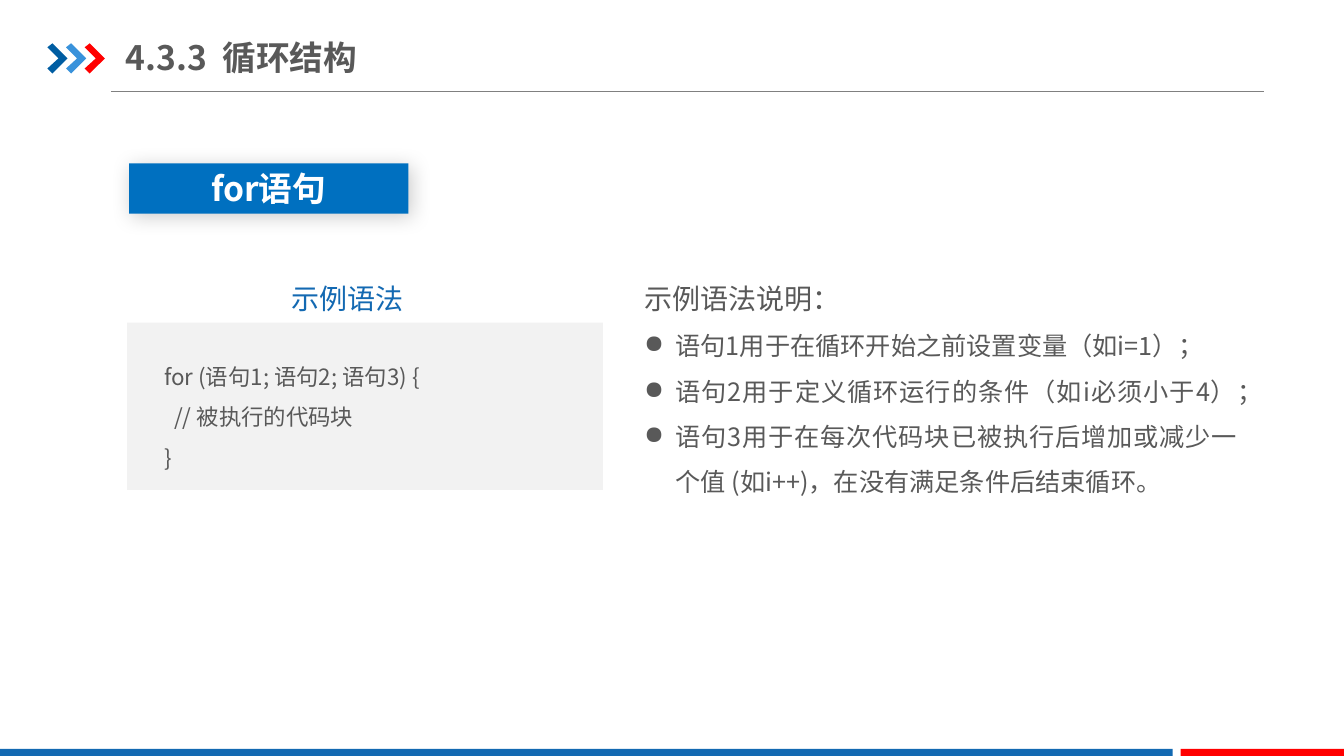
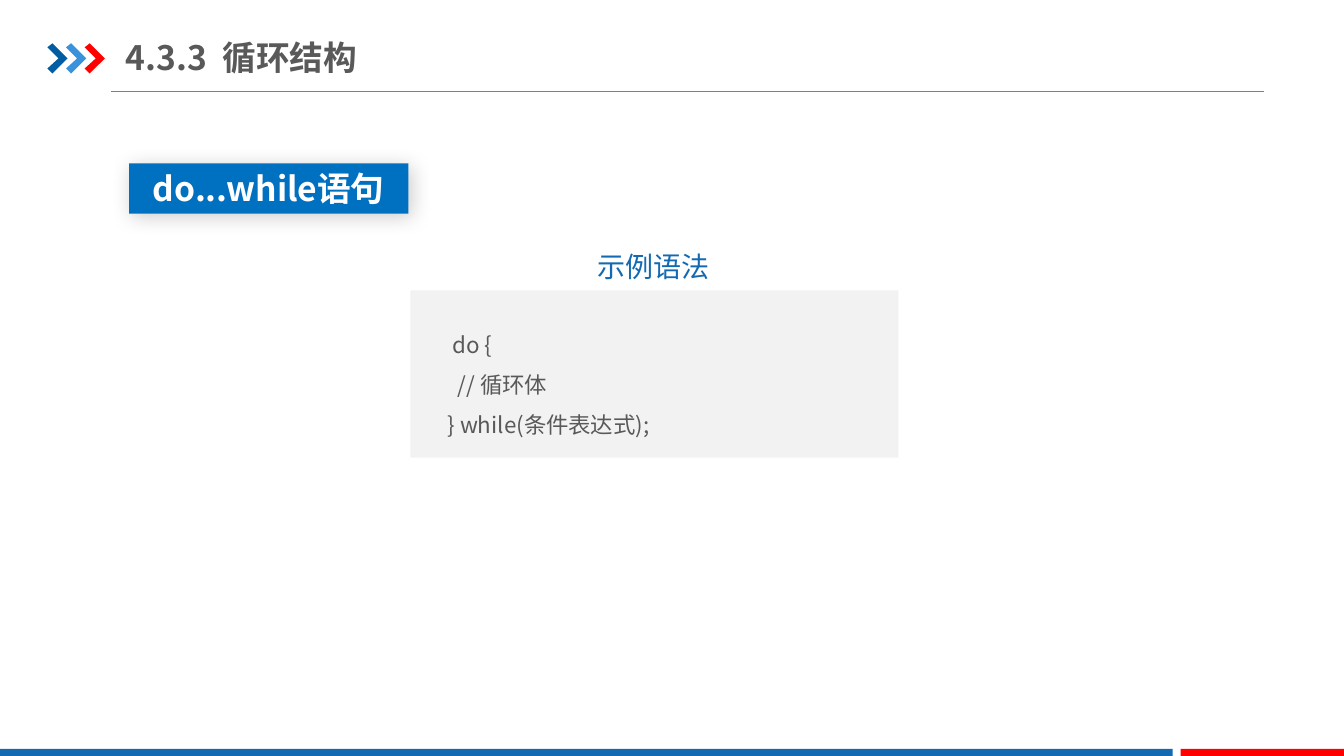
from dataclasses import dataclass

from lxml import etree
from pptx import Presentation
from pptx import util as u
from pptx.dml.color import RGBColor
from pptx.enum import shapes, text
from pptx.oxml import ns


@dataclass(frozen=True)
class Theme:
    """Colours, font and type sizes of the deck."""
    font: str = "Noto Sans CJK SC"
    ink: str = "595959"
    white: str = "FFFFFF"
    blue: str = "1369B2"
    badge: str = "0070C0"
    red: str = "FF0000"
    panel: str = "F2F2F2"
    rule: str = "808080"
    chevrons: tuple = ("005DA2", "3992DB", "FF0000")
    heading: int = 24
    label: int = 20
    body: int = 18
    code: int = 16
    spacing: float = 1.5


THEME = Theme()
ALIGN = text.PP_ALIGN
ANCHOR = text.MSO_ANCHOR
PLAIN_INSETS = (0.1, 0.05)
WIDE_INSETS = (0.13, 0.07)


def add_xml(parent, tag, **attributes):
    """Append a DrawingML child element and return it."""
    return etree.SubElement(parent, ns.qn(tag), attributes)


def paint(shape, colour):
    """Give a shape a flat fill without outline or shadow."""
    shape.shadow.inherit = False
    shape.fill.solid()
    shape.fill.fore_color.rgb = RGBColor.from_string(colour)
    shape.line.fill.background()


def add_block(slide, left, top, width, height, colour):
    """Draw a flat rectangle."""
    block = slide.shapes.add_shape(
        shapes.MSO_SHAPE.RECTANGLE, *map(u.Inches, (left, top, width, height)))
    paint(block, colour)
    return block


def set_frame(frame, insets=PLAIN_INSETS, anchor=ANCHOR.TOP):
    """Set wrapping, insets and anchor of a text frame."""
    frame.word_wrap = True
    frame.vertical_anchor = anchor
    frame.margin_left = frame.margin_right = u.Inches(insets[0])
    frame.margin_top = frame.margin_bottom = u.Inches(insets[1])
    return frame


def add_text(slide, left, top, width, height, **frame_style):
    """Add a text box and return its frame."""
    box = slide.shapes.add_textbox(*map(u.Inches, (left, top, width, height)))
    return set_frame(box.text_frame, **frame_style)


def write(frame, wording, size, colour=THEME.ink, bold=False,
          align=ALIGN.LEFT, spacing=THEME.spacing, indent=0, bullet=None):
    """Write one paragraph, using the empty first one if it is free."""
    first = frame.paragraphs[0]
    paragraph = frame.add_paragraph() if first.runs else first
    paragraph.alignment = align
    paragraph.line_spacing = spacing
    properties = paragraph._p.get_or_add_pPr()
    if indent:
        properties.set("marL", str(u.Inches(indent)))
    if bullet:
        properties.set("indent", str(-u.Inches(indent)))
        add_xml(properties, "a:buChar", char=bullet)
    run = paragraph.add_run()
    run.text = wording
    run.font.size = u.Pt(size)
    run.font.bold = bold
    run.font.color.rgb = RGBColor.from_string(colour)
    run.font.name = THEME.font
    add_xml(run._r.get_or_add_rPr(), "a:ea", typeface=THEME.font)


def add_chevron(slide, left, top, colour):
    """Draw one arrow-like chevron of the title mark."""
    outline = [(0, 0.04), (0.05, 0), (0.2, 0.15), (0.05, 0.3), (0, 0.25), (0.11, 0.15)]
    points = [(u.Inches(left + x), u.Inches(top + y)) for x, y in outline]
    builder = slide.shapes.build_freeform(*points[0], scale=1.0)
    builder.add_line_segments(points[1:], close=True)
    paint(builder.convert_to_shape(), colour)


def add_rule(slide, left, right, y):
    """Draw the thin line under the title."""
    rule = slide.shapes.add_connector(
        shapes.MSO_CONNECTOR.STRAIGHT, *map(u.Inches, (left, y, right, y)))
    rule.line.color.rgb = RGBColor.from_string(THEME.rule)
    rule.line.width = u.Pt(0.75)
    add_xml(rule._element.spPr, "a:effectLst")


def add_badge(slide, wording):
    """Draw the shadowed blue label that names the statement."""
    badge = add_block(slide, 1.28, 1.62, 2.77, 0.5, THEME.badge)
    effects = badge._element.spPr.find(ns.qn("a:effectLst"))
    shadow = add_xml(effects, "a:outerShdw", blurRad=str(u.Pt(15)), dist=str(u.Pt(3)),
                     dir="2700000", algn="tl", rotWithShape="0")
    add_xml(add_xml(shadow, "a:srgbClr", val="000000"), "a:alpha", val="20000")
    frame = set_frame(badge.text_frame, anchor=ANCHOR.MIDDLE)
    write(frame, wording, THEME.heading, THEME.white, bold=True,
          align=ALIGN.CENTER, spacing=1.0)


def add_syntax(slide, left, top, width, label_left, lines):
    """Draw a captioned code panel; each line is an indent and its wording."""
    add_block(slide, left, top, width, 1.66, THEME.panel)
    code = add_text(slide, left + 0.27, top + 0.22, width - 0.55, 1.31)
    for indent, wording in lines:
        write(code, wording, THEME.code, indent=indent)
    caption = add_text(slide, label_left, top - 0.64, 1.96, 0.64, insets=WIDE_INSETS)
    write(caption, "示例语法", THEME.label, THEME.blue, align=ALIGN.CENTER)


def add_explanation(slide, heading, points):
    """Write the heading and bulleted notes beside the code."""
    notes = add_text(slide, 6.26, 2.56, 6.14, 2.46, insets=WIDE_INSETS)
    write(notes, heading, THEME.label, align=ALIGN.JUSTIFY)
    for point in points:
        write(notes, point, THEME.body, align=ALIGN.JUSTIFY, indent=0.31, bullet="●")


def add_page(deck, title, statement):
    """Add a slide with title, rule, chevrons, footer bands and badge."""
    slide = deck.slides.add_slide(deck.slide_layouts[6])
    add_rule(slide, 1.1, 12.54, 0.91)
    for index, colour in enumerate(THEME.chevrons):
        add_chevron(slide, 0.47 + 0.185 * index, 0.43, colour)
    for left, width, colour in ((0, 11.63, THEME.blue), (11.71, 1.63, THEME.red)):
        add_block(slide, left, 7.43, width, 0.09, colour)
    heading = add_text(slide, 1.25, 0.29, 4.26, 0.55, insets=(0, 0.07), anchor=ANCHOR.MIDDLE)
    write(heading, title, THEME.heading, bold=True, spacing=1.0)
    add_badge(slide, statement)
    return slide


def main():
    """Build and save the deck."""
    deck = Presentation()
    deck.slide_width, deck.slide_height = u.Inches(13.33), u.Inches(7.5)
    section = "4.3.3  循环结构"

    for_loop = add_page(deck, section, "for语句")
    add_syntax(for_loop, 1.26, 3.2, 4.72, 2.47, [
        (0, "for (语句1; 语句2; 语句3) {"),
        (0.1, "// 被执行的代码块"),
        (0, "}"),
    ])
    add_explanation(for_loop, "示例语法说明：", [
        "语句1用于在循环开始之前设置变量（如i=1）；",
        "语句2用于定义循环运行的条件（如i必须小于4）；",
        "语句3用于在每次代码块已被执行后增加或减少一个值 (如i++)，在没有满足条件后结束循环。",
    ])

    do_while = add_page(deck, section, "do...while语句")
    add_syntax(do_while, 4.07, 2.88, 4.84, 5.5, [
        (0.05, "do {"),
        (0.1, "// 循环体"),
        (0, "} while(条件表达式);"),
    ])

    deck.save("out.pptx")


if __name__ == "__main__":
    main()
